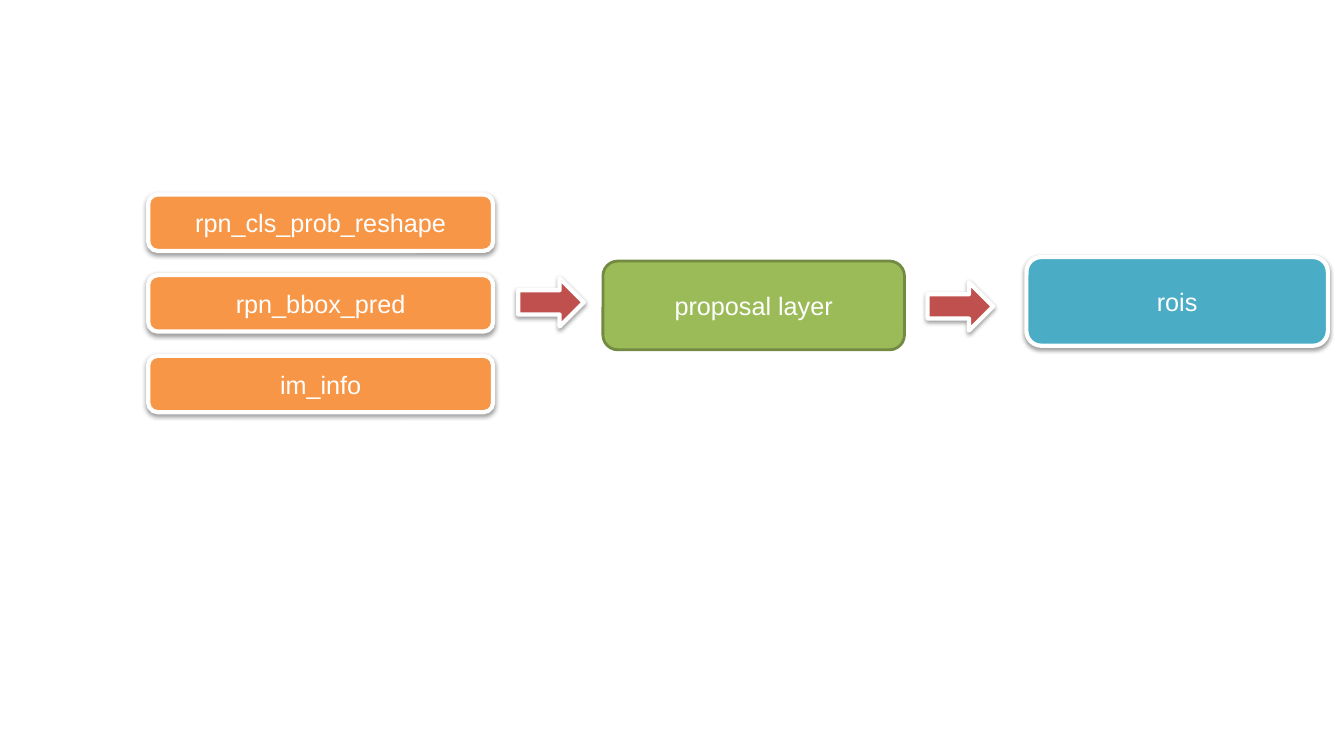
from lxml import etree
from pptx import Presentation
from pptx import util as u
from pptx.dml.color import RGBColor
from pptx.enum import shapes, text
from pptx.oxml import ns

PX = 9144
WHITE = RGBColor(0xFF, 0xFF, 0xFF)
BLACK = RGBColor(0x00, 0x00, 0x00)
ORANGE = RGBColor(0xF7, 0x96, 0x46)
RED = RGBColor(0xC0, 0x50, 0x4D)
GREEN = RGBColor(0x9B, 0xBB, 0x59)
DARK_GREEN = RGBColor(0x73, 0x8A, 0x42)
TEAL = RGBColor(0x4B, 0xAC, 0xC6)


def px(n):
    """Turn whole pixels into EMU."""
    return u.Emu(n * PX)


def add_shadow(sp):
    """Give a shape a soft shadow falling straight down."""
    effects = sp._element.spPr.find(ns.qn("a:effectLst"))
    shadow = etree.SubElement(effects, ns.qn("a:outerShdw"), blurRad="40000",
                              dist="20000", dir="5400000", rotWithShape="0")
    color = etree.SubElement(shadow, ns.qn("a:srgbClr"), val=str(BLACK))
    etree.SubElement(color, ns.qn("a:alpha"), val="38000")


def add_block(s, kind, box, fill, line=WHITE, width=3, shadow=True):
    """Draw a filled and outlined preset shape."""
    sp = s.shapes.add_shape(kind, *map(px, box))
    sp.fill.solid()
    sp.fill.fore_color.rgb = fill
    sp.line.color.rgb = line
    sp.line.width = u.Pt(width)
    sp.shadow.inherit = False
    if shadow:
        add_shadow(sp)
    return sp


def add_node(s, label, box, fill, **style):
    """Draw a rounded box with a centred label."""
    sp = add_block(s, shapes.MSO_SHAPE.ROUNDED_RECTANGLE, box, fill, **style)
    tf = sp.text_frame
    tf.text = label
    tf.vertical_anchor = text.MSO_ANCHOR.MIDDLE
    p = tf.paragraphs[0]
    p.alignment = text.PP_ALIGN.CENTER
    font = p.runs[0].font
    font.name = "Arial"
    font.size = u.Pt(18)
    font.color.rgb = WHITE


def add_arrow(s, left, top):
    """Draw a red block arrow pointing right."""
    add_block(s, shapes.MSO_SHAPE.RIGHT_ARROW, (left, top, 65, 48), RED)


def main():
    """Build the proposal layer slide."""
    prs = Presentation()
    prs.slide_width, prs.slide_height = px(1333), px(750)
    s = prs.slides.add_slide(prs.slide_layouts[6])
    inputs = ("rpn_cls_prob_reshape", "rpn_bbox_pred", "im_info")
    for i, label in enumerate(inputs):
        add_node(s, label, (147, 193 + 80 * i, 342, 56), ORANGE)
    add_arrow(s, 514, 276)
    add_node(s, "proposal layer", (598, 259, 299, 88), GREEN,
             line=DARK_GREEN, width=2, shadow=False)
    add_node(s, "rois", (1018, 255, 299, 88), TEAL)
    add_arrow(s, 920, 280)
    prs.save("out.pptx")


if __name__ == "__main__":
    main()
